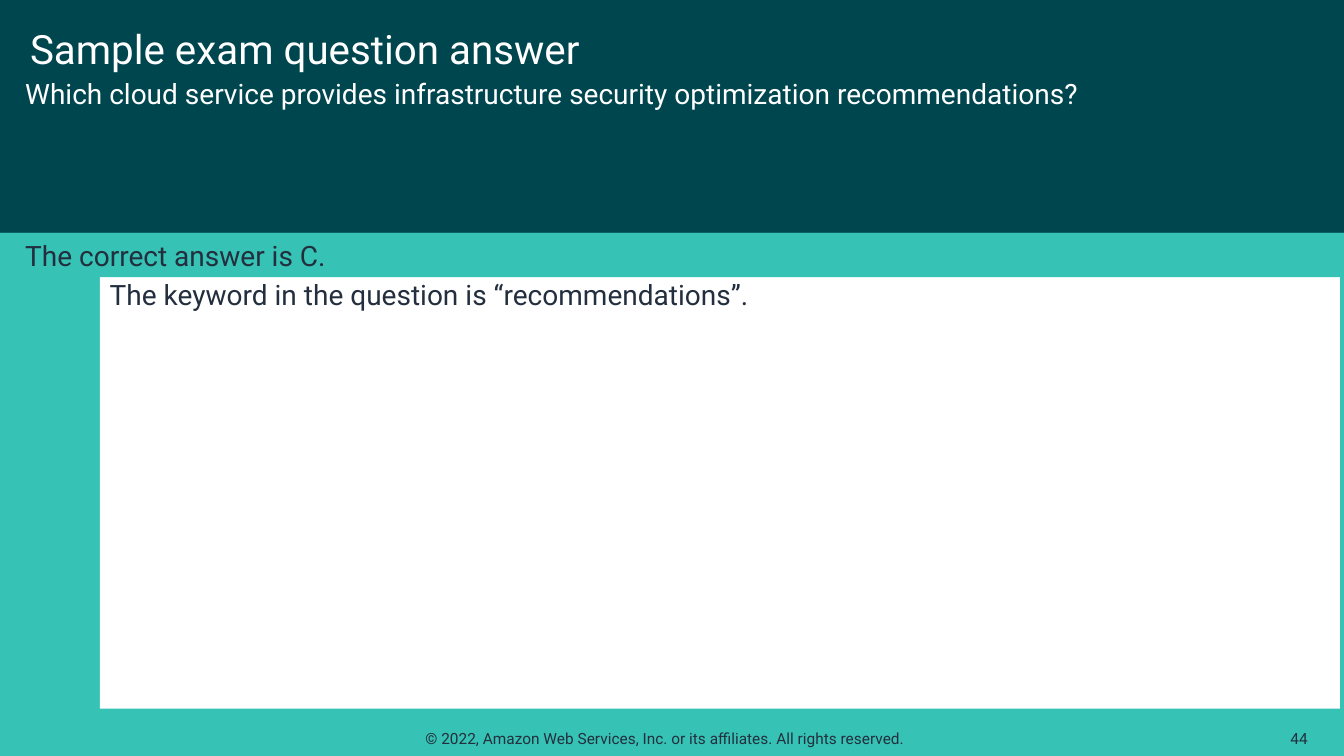
from dataclasses import dataclass
from typing import Optional

from pptx import Presentation
from pptx.dml.color import RGBColor
from pptx.enum.shapes import MSO_SHAPE
from pptx.enum.text import MSO_ANCHOR, PP_ALIGN
from pptx.slide import Slide
from pptx.util import Inches, Pt

COLORS = {"dark": "00464F", "teal": "36C2B4", "white": "FFFFFF", "ink": "232F3E"}
FONT = "Roboto"
WIDTH, HEIGHT = 13.33, 7.5
SPLIT = 2.31  # where the dark header meets the teal body


@dataclass
class Block:
    """A rectangle if it has a fill, otherwise a text box; lengths in inches."""
    at: tuple[float, float, float, float]
    text: str = ""
    fill: Optional[str] = None
    color: str = "ink"
    size: float = 20
    insets: tuple[float, float, float, float] = (0.1, 0.05, 0.1, 0.05)
    anchor: MSO_ANCHOR = MSO_ANCHOR.TOP
    align: PP_ALIGN = PP_ALIGN.LEFT
    wrap: bool = True


BLOCKS = [
    Block((0, 0, WIDTH, SPLIT), fill="dark"),
    Block((0, SPLIT, WIDTH, HEIGHT - SPLIT), fill="teal"),
    Block((4.12, 7.18, 5.09, 0.29),
          "© 2022, Amazon Web Services, Inc. or its affiliates. All rights reserved.",
          size=11, wrap=False),
    Block((12.54, 7.18, 0.53, 0.29), "44", size=11,
          anchor=MSO_ANCHOR.MIDDLE, align=PP_ALIGN.RIGHT),
    Block((0.2, 0.2, 12.87, 0.55), "Sample exam question answer",
          color="white", size=28.8, anchor=MSO_ANCHOR.MIDDLE),
    Block((0, 0.76, WIDTH, 1.54),
          "Which cloud service provides infrastructure security optimization recommendations?",
          fill="dark", color="white", insets=(0.25, 0, 0.2, 0)),
    Block((0.99, 2.65, 12.3, 4.38), "The keyword in the question is “recommendations”.",
          fill="white", insets=(0.1, 0.1, 0.2, 0)),
    Block((0, SPLIT, WIDTH, 0.44), "The correct answer is C.",
          fill="teal", insets=(0.25, 0, 0.1, 0), anchor=MSO_ANCHOR.MIDDLE),
]


def rgb(name: str) -> RGBColor:
    return RGBColor.from_string(COLORS[name])


def draw_block(s: Slide, block: Block) -> None:
    box = [Inches(v) for v in block.at]
    if block.fill:
        sp = s.shapes.add_shape(MSO_SHAPE.RECTANGLE, *box)
        sp.shadow.inherit = False
        sp.fill.solid()
        sp.fill.fore_color.rgb = rgb(block.fill)
        sp.line.fill.background()
    else:
        sp = s.shapes.add_textbox(*box)
    if not block.text:
        return
    tf = sp.text_frame
    tf.word_wrap = block.wrap
    tf.vertical_anchor = block.anchor
    tf.margin_left, tf.margin_top, tf.margin_right, tf.margin_bottom = (
        Inches(v) for v in block.insets)
    tf.text = block.text
    p = tf.paragraphs[0]
    p.alignment = block.align
    font = p.runs[0].font
    font.name, font.size = FONT, Pt(block.size)
    font.color.rgb = rgb(block.color)


def main() -> None:
    prs = Presentation()
    prs.slide_width, prs.slide_height = Inches(WIDTH), Inches(HEIGHT)
    s = prs.slides.add_slide(prs.slide_layouts[6])
    for block in BLOCKS:
        draw_block(s, block)
    prs.save("out.pptx")


if __name__ == "__main__":
    main()
